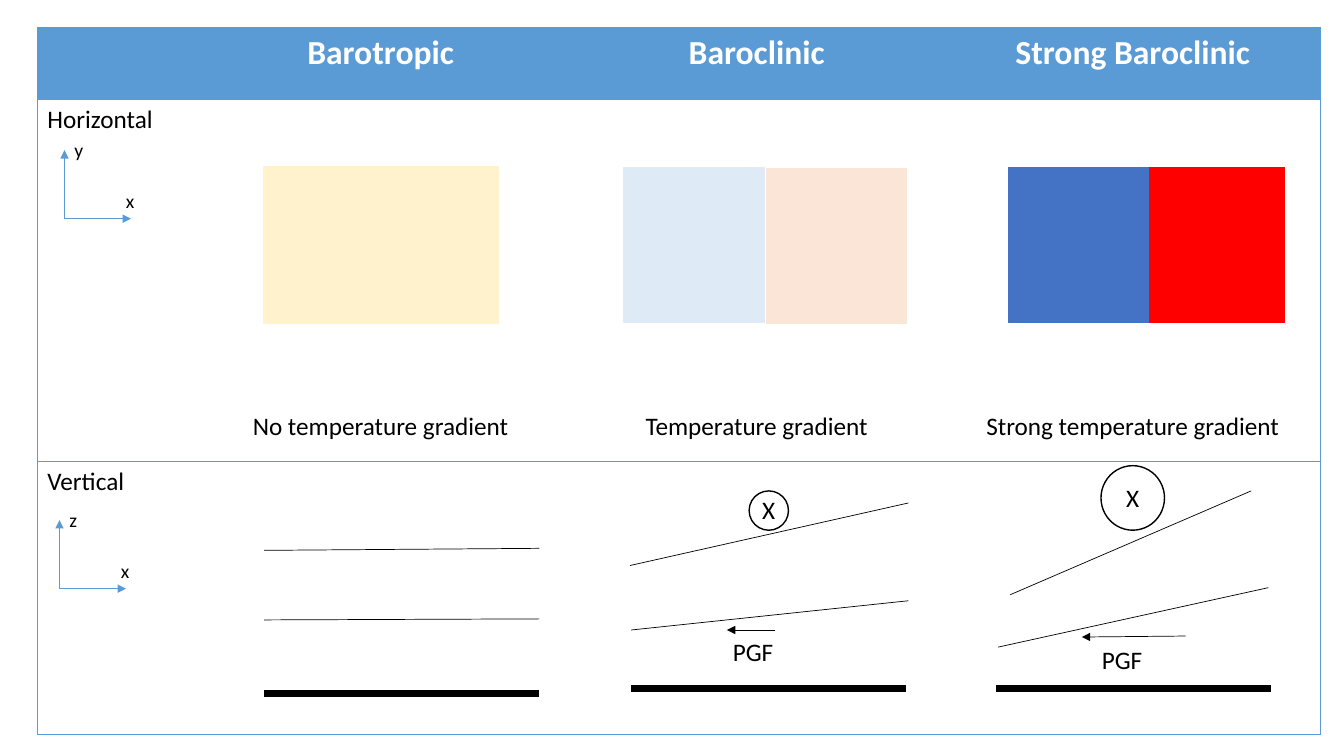
from lxml import etree
from pptx import Presentation
from pptx.dml.color import RGBColor
from pptx.enum.shapes import MSO_CONNECTOR, MSO_SHAPE
from pptx.enum.text import MSO_ANCHOR, MSO_AUTO_SIZE, PP_ALIGN
from pptx.oxml.ns import qn
from pptx.util import Emu, Pt

RECTANGLE, OVAL = MSO_SHAPE.RECTANGLE, MSO_SHAPE.OVAL
STRAIGHT = MSO_CONNECTOR.STRAIGHT
LEFT, CENTER = PP_ALIGN.LEFT, PP_ALIGN.CENTER
TOP, BOTTOM = MSO_ANCHOR.TOP, MSO_ANCHOR.BOTTOM
FIT_TEXT = MSO_AUTO_SIZE.SHAPE_TO_FIT_TEXT
BLUE, BLACK, WHITE = "5B9BD5", "000000", "FFFFFF"


def px(length):
    """100 px to the inch."""
    return Emu(length * 9144)


def color(hex_string):
    return RGBColor.from_string(hex_string)


class Sketch:
    font = "Calibri"
    thin = 0.5

    def __init__(self, page):
        self.page = page

    def add_text(self, frame, text, size, ink=BLACK, bold=False, align=LEFT):
        para = frame.paragraphs[0]
        para.alignment = align
        span = para.add_run()
        span.text = text
        values = {"name": self.font, "size": Pt(size), "bold": bold}
        for name, value in values.items():
            setattr(span.font, name, value)
        span.font.color.rgb = color(ink)

    def label(self, text, left, top, width, height, size=18, wrap=True):
        box = self.page.shapes.add_textbox(*map(px, (left, top, width, height)))
        self.add_text(box.text_frame, text, size)
        box.text_frame.word_wrap = wrap
        box.text_frame.auto_size = FIT_TEXT

    def shape(self, kind, left, top, width, height, line, fill=None):
        shape = self.page.shapes.add_shape(kind, *map(px, (left, top, width, height)))
        shape.shadow.inherit = False
        shape.line.color.rgb = color(line)
        shape.line.width = Pt(1)
        if fill:
            shape.fill.solid()
            shape.fill.fore_color.rgb = color(fill)
        else:
            shape.fill.background()

    def line(self, x1, y1, x2, y2, ink=BLACK, width=thin, arrow=False):
        line = self.page.shapes.add_connector(STRAIGHT, *map(px, (x1, y1, x2, y2)))
        line.line.color.rgb = color(ink)
        line.line.width = Pt(width)
        if arrow:
            etree.SubElement(line.get_or_add_ln(), qn("a:tailEnd"), type="triangle")
        etree.SubElement(line._element.spPr, qn("a:effectLst"))

    def axes(self, x, y, upright):
        self.line(x, y, x, y - 68, BLUE, arrow=True)
        self.line(x, y, x + 66, y, BLUE, arrow=True)
        self.label(upright, x, y - 85, 32, 34, 14)
        self.label("x", x + 51, y - 34, 42, 34, 14)

    def cell_borders(self, cell, visible):
        properties = cell._tc.get_or_add_tcPr()
        for side in "LRTB":
            edge = etree.SubElement(properties, qn(f"a:ln{side}"), w=str(Pt(self.thin)))
            if side in visible:
                fill = etree.SubElement(edge, qn("a:solidFill"))
                etree.SubElement(fill, qn("a:srgbClr"), val=BLUE)
            else:
                etree.SubElement(edge, qn("a:noFill"))

    def table(self, rows, left, top, widths, heights):
        frame = self.page.shapes.add_table(
            len(rows), len(widths), px(left), px(top), px(sum(widths)), px(sum(heights)))
        table = frame.table
        for column, width in zip(table.columns, widths):
            column.width = px(width)
        for r, texts in enumerate(rows):
            table.rows[r].height = px(heights[r])
            for c, text in enumerate(texts):
                cell = table.cell(r, c)
                sides = "TB" + ("L" if c == 0 else "") + ("R" if c == len(widths) - 1 else "")
                self.cell_borders(cell, sides)
                header, caption = r == 0, r > 0 and c > 0
                if header:
                    cell.fill.solid()
                    cell.fill.fore_color.rgb = color(BLUE)
                else:
                    cell.fill.background()
                cell.vertical_anchor = BOTTOM if caption else TOP
                if caption:
                    cell.margin_bottom = px(19)
                if text:
                    self.add_text(cell.text_frame, text, 24 if header else 18,
                                  WHITE if header else BLACK, header, CENTER if c else LEFT)


def main():
    deck = Presentation()
    deck.slide_width, deck.slide_height = px(1333), px(750)
    sketch = Sketch(deck.slides.add_slide(deck.slide_layouts[6]))

    # Comparison table
    sketch.table([
        ["", "Barotropic", "Baroclinic", "Strong Baroclinic"],
        ["Horizontal", "No temperature gradient", "Temperature gradient",
         "Strong temperature gradient"],
        ["Vertical", "", "", ""],
    ], 37, 27, [154, 373, 373, 373], [72, 359, 271])

    # Coordinate axes
    sketch.axes(64, 217, "y")
    sketch.axes(59, 584, "z")

    # Temperature fields seen from above
    for left, top, width, height, tint in [
        (262, 165, 232, 156, "FFF2CC"),
        (760, 167, 139, 154, "FBE5D6"),
        (619, 166, 139, 154, "DEEBF7"),
        (1135, 166, 139, 154, "FF0000"),
        (1000, 166, 139, 154, "4472C4"),
    ]:
        sketch.shape(RECTANGLE, left, top, width, height, tint, tint)

    # Ground
    for left, y in [(262, 688), (626, 683), (988, 683)]:
        sketch.line(left, y, left + 273, y, width=4.5)

    # Pressure surfaces
    for ends in [
        (262, 615, 535, 614), (262, 546, 535, 544),
        (626, 625, 901, 596), (625, 561, 901, 499),
        (990, 642, 1258, 583), (1002, 590, 1241, 487),
    ]:
        sketch.line(*ends)

    # Wind into the page
    for circle, mark in [((743, 487, 39, 39), (746, 486)),
                         ((1092, 462, 63, 64), (1107, 474))]:
        sketch.shape(OVAL, *circle, BLACK)
        sketch.label("X", *mark, 33, 40, wrap=False)

    # Pressure gradient force
    for arrow, corner in [((769, 625, 721, 625), (717, 626)),
                          ((1176, 631, 1073, 632), (1083, 634))]:
        sketch.line(*arrow, arrow=True)
        sketch.label("PGF", *corner, 65, 40)

    deck.save("out.pptx")


if __name__ == "__main__":
    main()
